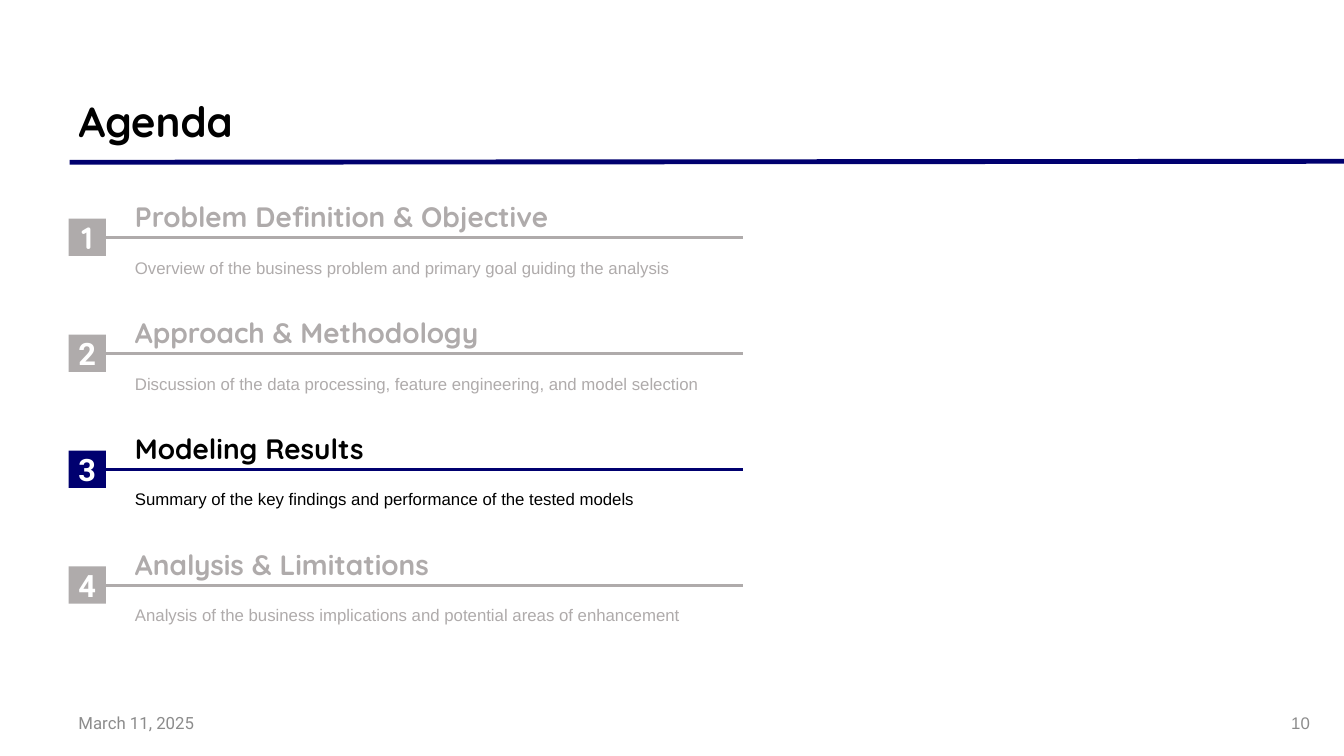
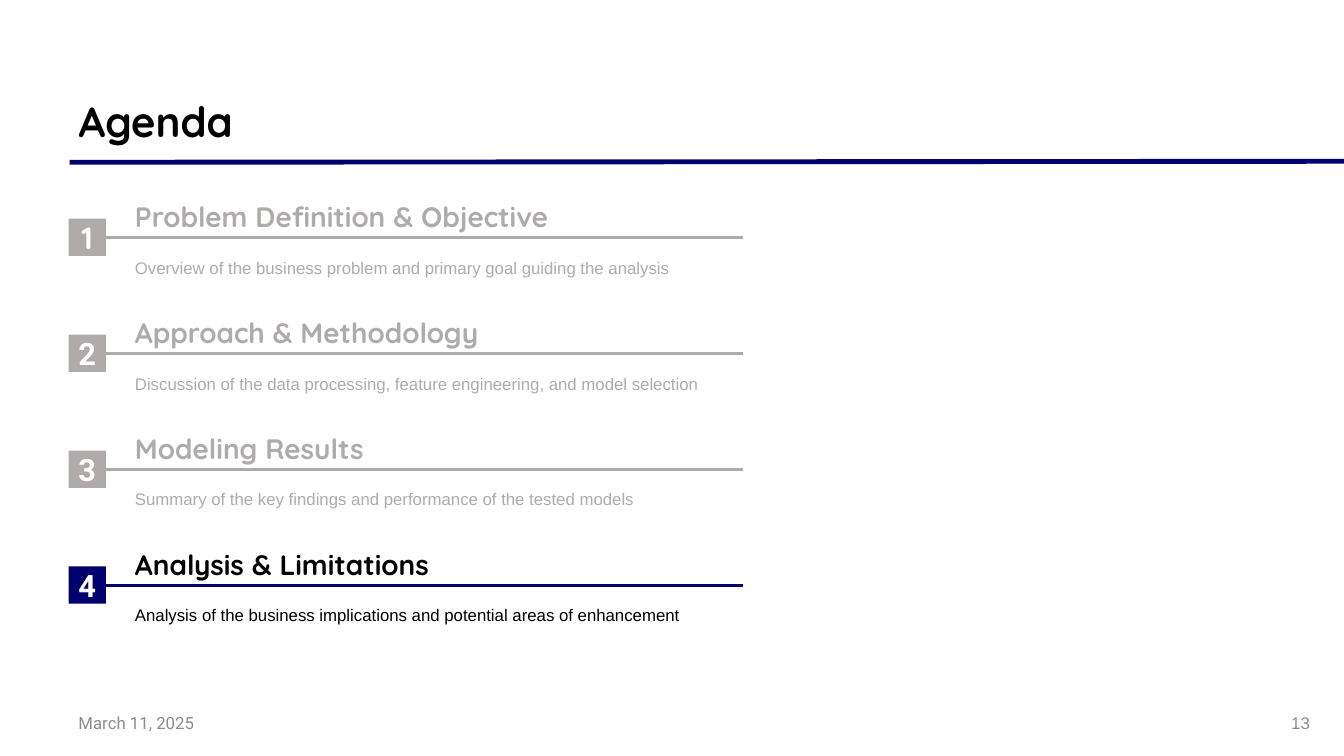
"""Build two agenda slides, each highlighting its current section."""
from lxml.etree import SubElement
from pptx import Presentation
from pptx.dml.color import RGBColor
from pptx.enum.shapes import MSO_CONNECTOR, MSO_SHAPE
from pptx.enum.text import MSO_ANCHOR as Anchor, MSO_AUTO_SIZE as AutoSize, PP_ALIGN as Align
from pptx.oxml.ns import qn
from pptx.util import Inches, Pt

TITLE = "Agenda"
DATE = "March 11, 2025"
HEADING_FONT, BODY_FONT, LABEL_FONT = "Quicksand", "Arial", "Roboto"
SECTIONS = [
    ("Problem Definition & Objective",
     "Overview of the business problem and primary goal guiding the analysis", HEADING_FONT),
    ("Approach & Methodology",
     "Discussion of the data processing, feature engineering, and model selection", LABEL_FONT),
    ("Modeling Results",
     "Summary of the key findings and performance of the tested models", LABEL_FONT),
    ("Analysis & Limitations",
     "Analysis of the business implications and potential areas of enhancement", LABEL_FONT),
]
SLIDES = [{"page": "10", "current": 3}, {"page": "13", "current": 4}]

NAVY = RGBColor(0x00, 0x00, 0x6F)
MUTED = RGBColor(0xAF, 0xAB, 0xAB)
FOOTER_GRAY = RGBColor(0x8C, 0x8C, 0x8C)
BLACK = RGBColor(0x00, 0x00, 0x00)
WHITE = RGBColor(0xFF, 0xFF, 0xFF)

SLIDE_WIDTH, SLIDE_HEIGHT = Inches(13.33), Inches(7.5)
MARGIN = Inches(0.68)
SECTION_TOP, SECTION_PITCH = Inches(1.82), Inches(1.15)
TEXT_LEFT, TEXT_WIDTH, TEXT_HEIGHT = Inches(1.24), Inches(6.13), Inches(1.01)
BADGE_SIZE, BADGE_DROP = Inches(0.37), Inches(0.35)
FOOTER_TOP, FOOTER_HEIGHT = Inches(6.97), Inches(0.4)


def style(paragraph, font_name, size, color, bold=False, align=Align.LEFT):
    paragraph.alignment = align
    for run in paragraph.runs:
        font = run.font
        font.name, font.size, font.bold = font_name, Pt(size), bold
        font.color.rgb = color


def add_text_box(slide, left, top, width, height, text, anchor=Anchor.TOP):
    frame = slide.shapes.add_textbox(left, top, width, height).text_frame
    frame.word_wrap = True
    frame.vertical_anchor = anchor
    frame.text = text
    return frame.paragraphs


def add_line(slide, start, end, color, width):
    line = slide.shapes.add_connector(MSO_CONNECTOR.STRAIGHT, *start, *end)
    line.line.color.rgb = color
    line.line.width = Pt(width)
    SubElement(line._element.spPr, qn("a:effectLst"))
    return line


def add_title(slide):
    title = slide.shapes.title
    title.left, title.top = MARGIN, Inches(0.16)
    title.width, title.height = Inches(10.57), Inches(1.34)
    title.fill.solid()
    title.fill.fore_color.rgb = WHITE
    frame = title.text_frame
    frame.text = TITLE
    frame.auto_size = AutoSize.NONE
    frame.vertical_anchor = Anchor.BOTTOM
    frame.paragraphs[0].line_spacing = 0.9
    style(frame.paragraphs[0], HEADING_FONT, 30, BLACK, bold=True)
    add_line(slide, (Inches(0.69), Inches(1.61)), (SLIDE_WIDTH, Inches(1.6)), NAVY, 3.5)


def add_footer(slide, page):
    date = add_text_box(slide, MARGIN, FOOTER_TOP, Inches(2.03), FOOTER_HEIGHT,
                        DATE, Anchor.MIDDLE)[0]
    date.space_after = Pt(6)
    style(date, LABEL_FONT, 12, FOOTER_GRAY)
    number = add_text_box(slide, Inches(10.09), FOOTER_TOP, Inches(3), FOOTER_HEIGHT,
                          page, Anchor.MIDDLE)[0]
    style(number, BODY_FONT, 12, FOOTER_GRAY, align=Align.RIGHT)


def add_badge(slide, top, number, font_name, color):
    badge = slide.shapes.add_shape(MSO_SHAPE.RECTANGLE, MARGIN, top, BADGE_SIZE, BADGE_SIZE)
    badge.shadow.inherit = False
    badge.fill.solid()
    badge.fill.fore_color.rgb = color
    badge.line.fill.background()
    frame = badge.text_frame
    frame.margin_left = frame.margin_right = 0
    frame.vertical_anchor = Anchor.MIDDLE
    frame.text = str(number)
    style(frame.paragraphs[0], font_name, 22, WHITE, bold=True, align=Align.CENTER)
    return badge


def add_section(slide, number, section, is_current):
    heading, summary, badge_font = section
    accent, text_color = (NAVY, BLACK) if is_current else (MUTED, MUTED)
    top = SECTION_TOP + (number - 1) * SECTION_PITCH
    paragraphs = add_text_box(slide, TEXT_LEFT, top, TEXT_WIDTH, TEXT_HEIGHT,
                              f"{heading}\n{summary}")
    for paragraph in paragraphs:
        paragraph.line_spacing = Pt(31.8)
    style(paragraphs[0], HEADING_FONT, 20, text_color, bold=True)
    style(paragraphs[1], BODY_FONT, 12, text_color)
    badge = add_badge(slide, top + BADGE_DROP, number, badge_font, accent)
    middle = badge.top + BADGE_SIZE // 2
    rule = add_line(slide, (MARGIN + BADGE_SIZE, middle),
                    (TEXT_LEFT + TEXT_WIDTH, middle), accent, 2.25)
    rule.begin_connect(badge, 3)


def main():
    presentation = Presentation()
    presentation.slide_width, presentation.slide_height = SLIDE_WIDTH, SLIDE_HEIGHT
    title_only = presentation.slide_layouts[5]
    for content in SLIDES:
        slide = presentation.slides.add_slide(title_only)
        add_title(slide)
        for number, section in enumerate(SECTIONS, start=1):
            add_section(slide, number, section, number == content["current"])
        add_footer(slide, content["page"])
    presentation.save("out.pptx")


if __name__ == "__main__":
    main()
